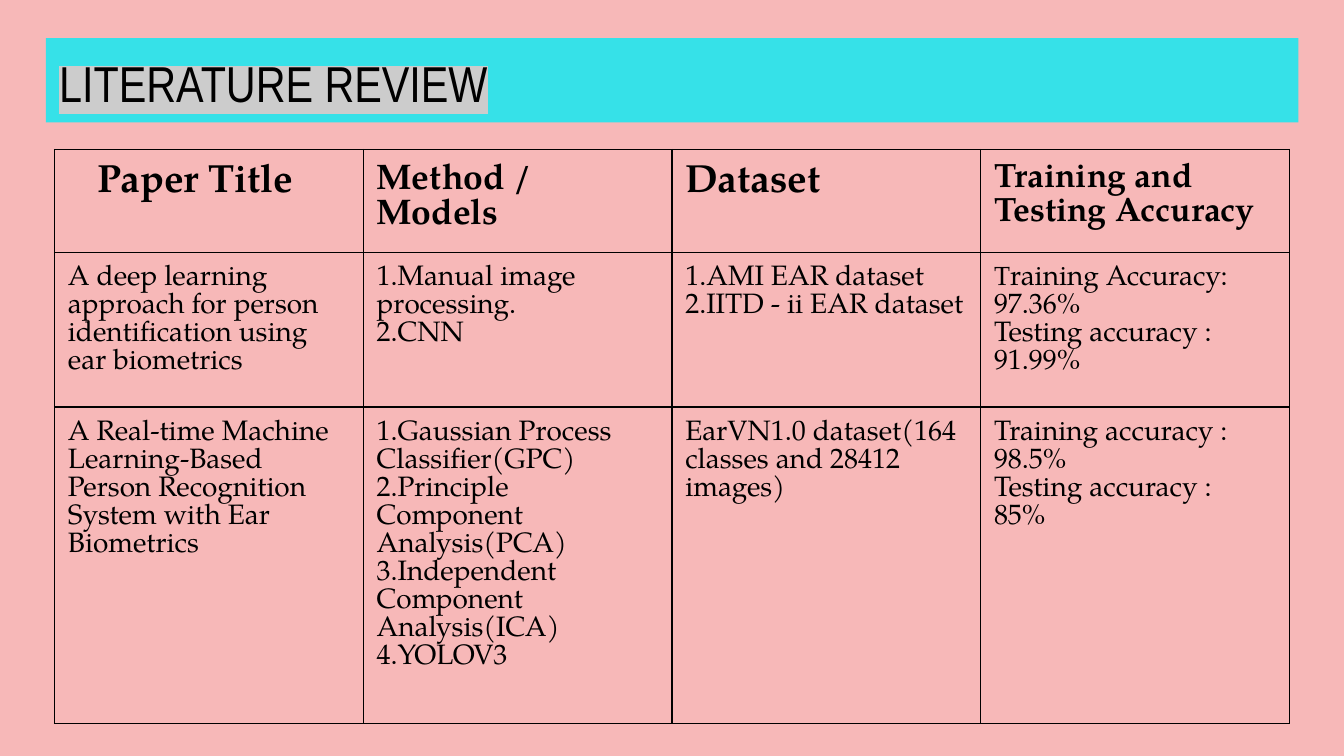
from dataclasses import dataclass
from typing import Any

from lxml.etree import SubElement
from pptx import Presentation
from pptx.dml.color import RGBColor as Color
from pptx.enum.text import MSO_ANCHOR as Anchor, PP_ALIGN as Align
from pptx.oxml.ns import qn
from pptx.util import Pt


@dataclass(frozen=True)
class Theme:
    background: str = "F7B8B8"
    banner: str = "36E1E8"
    highlight: str = "CCCCCC"
    ink: str = "000000"
    title_font: str = "Arial Narrow"
    body_font: str = "TeX Gyre Pagella"
    title_size: float = 27
    body_size: float = 15
    large_heading: float = 21
    method_heading: float = 19
    accuracy_heading: float = 18
    small_initial: float = 14
    border: float = 0.75
    inset: float = 7.2


THEME = Theme()


@dataclass(frozen=True)
class Entry:
    lines: tuple[str, ...]
    size: float = THEME.body_size
    bold: bool = False
    indent: float = 0
    initial_size: float | None = None


def heading(text: str, size: float, indent: float = 0) -> Entry:
    return Entry((text,), size, True, indent)


def entry(*lines: str, initial_size: float | None = None) -> Entry:
    return Entry(lines, initial_size=initial_size)


COLUMN_WIDTH = 165.4
ROW_HEIGHTS = (55, 83, 169.7)
ROWS = (
    (
        heading("Paper Title", THEME.large_heading, indent=16),
        heading("Method / Models", THEME.method_heading),
        heading("Dataset", THEME.large_heading),
        heading("Training and Testing Accuracy", THEME.accuracy_heading),
    ),
    (
        entry("A deep learning approach for person identification using ear biometrics"),
        entry("1.Manual image processing.", "2.CNN"),
        entry("1.AMI EAR dataset", "2.IITD - ii EAR dataset"),
        entry("Training Accuracy: 97.36%", "Testing accuracy : 91.99%",
              initial_size=THEME.small_initial),
    ),
    (
        entry("A Real-time Machine Learning-Based Person Recognition System with Ear Biometrics"),
        entry("1.Gaussian Process Classifier(GPC)", "2.Principle Component Analysis(PCA)",
              "3.Independent Component Analysis(ICA)", "4.YOLOV3"),
        entry("EarVN1.0 dataset(164 classes and 28412 images)"),
        entry("Training accuracy : 98.5%", "Testing accuracy :", "85%"),
    ),
)


def apply_format(target: Any, values: dict[str, Any]) -> None:
    for name, value in values.items():
        setattr(target, name, value)


def add_run(paragraph: Any, text: str, font: str, size: float, bold: bool = False) -> Any:
    run = paragraph.add_run()
    run.text = text
    apply_format(run.font, {"name": font, "size": Pt(size), "bold": bold})
    run.font.color.rgb = Color.from_string(THEME.ink)
    return run


def add_highlight(run: Any, color: str) -> None:
    """Place the highlight right after the text fill, as the schema requires."""
    properties = run.font._element
    highlight = SubElement(properties, qn("a:highlight"))
    SubElement(highlight, qn("a:srgbClr"), val=color)
    properties.find(qn("a:solidFill")).addnext(highlight)


def add_title(slide: Any) -> None:
    banner = slide.shapes.add_textbox(Pt(24.6), Pt(20.4), Pt(671), Pt(45.2))
    banner.fill.solid()
    banner.fill.fore_color.rgb = Color.from_string(THEME.banner)
    apply_format(banner.text_frame, {
        "word_wrap": True,
        "vertical_anchor": Anchor.BOTTOM,
        "margin_left": Pt(THEME.inset),
        "margin_right": Pt(THEME.inset),
        "margin_top": Pt(THEME.inset),
        "margin_bottom": Pt(5),
    })
    paragraph = banner.text_frame.paragraphs[0]
    apply_format(paragraph, {"alignment": Align.LEFT, "line_spacing": 0.85})
    run = add_run(paragraph, "LITERATURE REVIEW", THEME.title_font, THEME.title_size)
    add_highlight(run, THEME.highlight)


def add_borders(cell: Any) -> None:
    properties = cell._tc.get_or_add_tcPr()
    for side in ("lnL", "lnR", "lnT", "lnB"):
        line = SubElement(properties, qn(f"a:{side}"), w=str(Pt(THEME.border)))
        fill = SubElement(line, qn("a:solidFill"))
        SubElement(fill, qn("a:srgbClr"), val=THEME.ink)


def fill_cell(cell: Any, content: Entry) -> None:
    add_borders(cell)
    cell.fill.background()
    apply_format(cell, {
        "vertical_anchor": Anchor.TOP,
        "margin_left": Pt(THEME.inset + content.indent),
        "margin_right": Pt(THEME.inset),
        "margin_top": Pt(THEME.inset),
        "margin_bottom": Pt(THEME.inset),
    })
    frame = cell.text_frame
    for index, line in enumerate(content.lines):
        paragraph = frame.add_paragraph() if index else frame.paragraphs[0]
        apply_format(paragraph, {"alignment": Align.LEFT, "line_spacing": Pt(content.size)})
        if content.initial_size and index == 0:
            add_run(paragraph, line[0], THEME.body_font, content.initial_size)
            line = line[1:]
        add_run(paragraph, line, THEME.body_font, content.size, content.bold)


def add_review_table(slide: Any) -> None:
    column_count = len(ROWS[0])
    table = slide.shapes.add_table(
        len(ROWS), column_count, Pt(29.2), Pt(80.1),
        Pt(COLUMN_WIDTH * column_count), Pt(sum(ROW_HEIGHTS)),
    ).table
    apply_format(table, {"first_row": False, "horz_banding": False})
    for column in table.columns:
        column.width = Pt(COLUMN_WIDTH)
    for row, height, entries in zip(table.rows, ROW_HEIGHTS, ROWS):
        row.height = Pt(height)
        for cell, content in zip(row.cells, entries):
            fill_cell(cell, content)


def main() -> None:
    presentation = Presentation()
    apply_format(presentation, {"slide_width": Pt(720), "slide_height": Pt(405)})
    slide = presentation.slides.add_slide(presentation.slide_layouts[6])
    slide.background.fill.solid()
    slide.background.fill.fore_color.rgb = Color.from_string(THEME.background)
    add_title(slide)
    add_review_table(slide)
    presentation.save("out.pptx")


if __name__ == "__main__":
    main()
